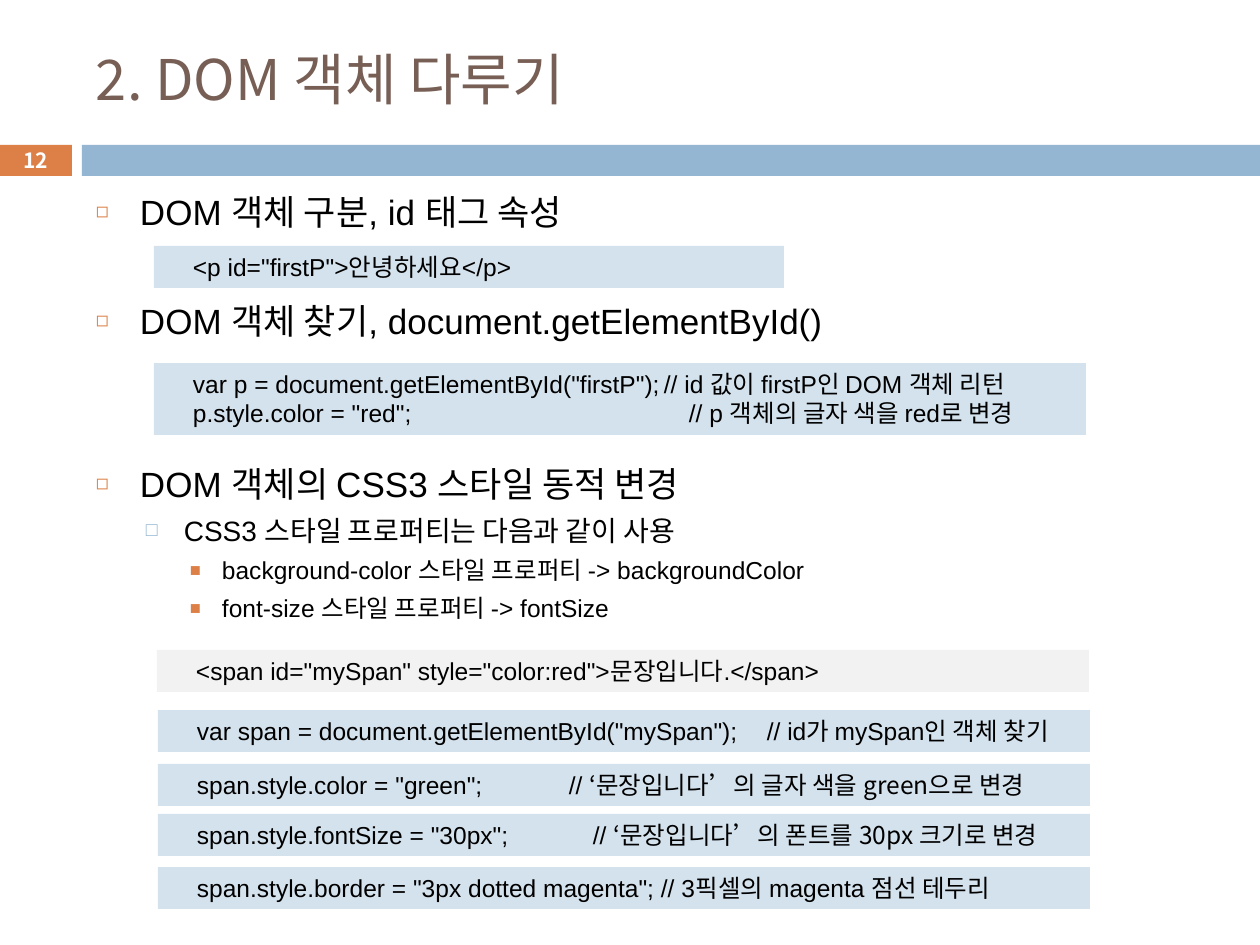
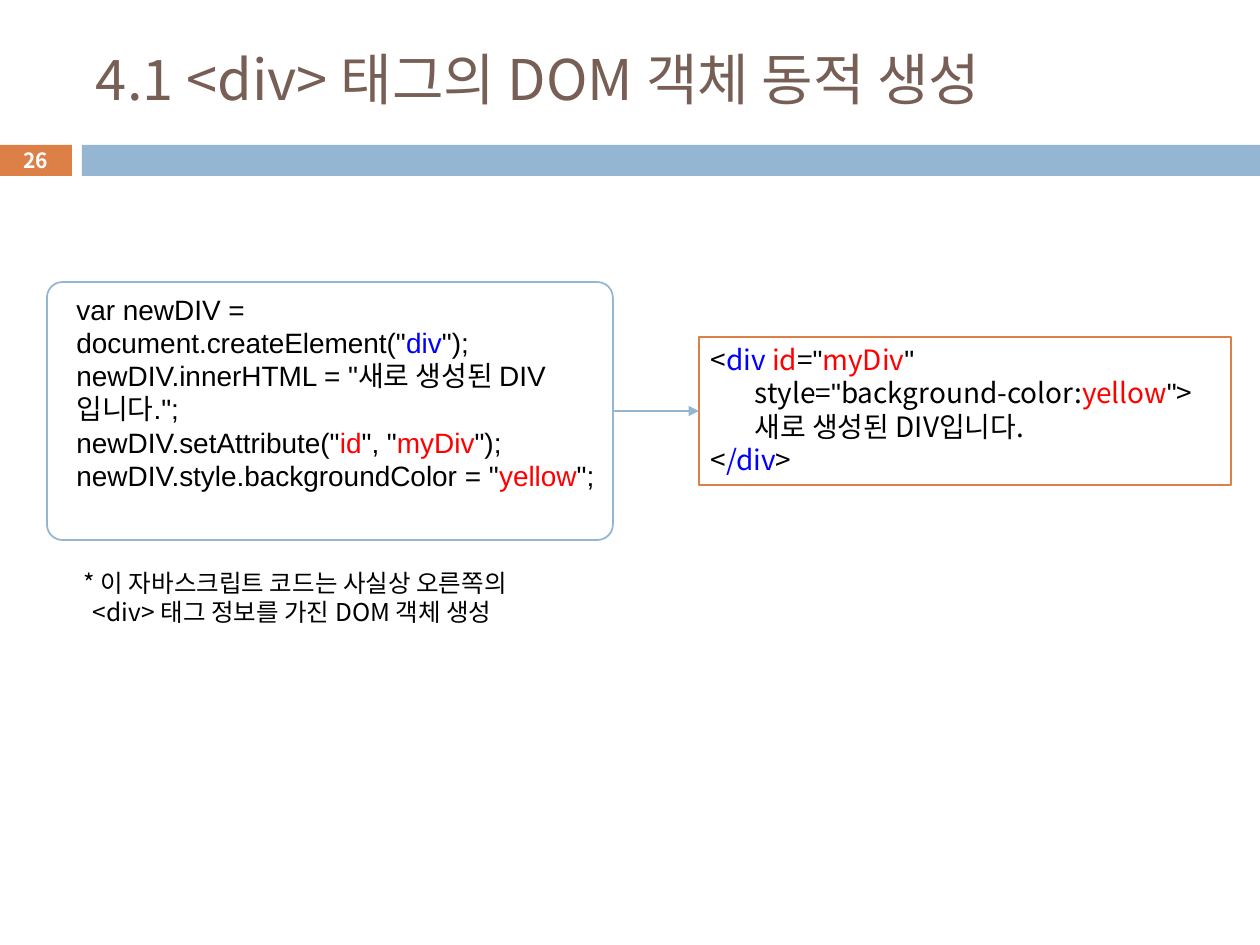
from dataclasses import dataclass

from lxml.etree import SubElement
from pptx import Presentation
from pptx.dml.color import RGBColor
from pptx.enum.shapes import MSO_CONNECTOR, MSO_SHAPE
from pptx.enum.text import MSO_ANCHOR, MSO_AUTO_SIZE, PP_ALIGN
from pptx.oxml.ns import qn
from pptx.util import Emu, Pt


@dataclass(frozen=True)
class Theme:
    orange: str = "DD8047"
    blue: str = "94B6D2"
    pale: str = "D4E2ED"
    gray: str = "F2F2F2"
    brown: str = "775F55"
    black: str = "000000"
    white: str = "FFFFFF"
    tag: str = "0000FF"
    value: str = "FF0000"
    latin: str = "Arial"
    hangul: str = "Noto Sans CJK KR"
    title: int = 32
    large: int = 20
    medium: int = 16
    small: int = 14
    number: int = 12
    leading: float = 1.19


T = Theme()
SCALE = 914400 / 126

# Bullet, colour, size in percent, left margin, hanging indent, type size
LEVELS = [
    ("◻", T.orange, 60, 44, 44, T.large),
    ("□", T.blue, 70, 88, 38, T.medium),
    ("■", T.orange, 75, 126, 32, T.small),
]


def px(length):
    return Emu(round(length * SCALE))


def rgb(color):
    return RGBColor.from_string(color)


def place(shape, box):
    shape.left, shape.top, shape.width, shape.height = map(px, box)


def setup(frame, left=12, top=6, right=12, anchor=MSO_ANCHOR.TOP):
    """Fix the margins, wrapping and anchor of a text frame."""
    frame.word_wrap = True
    frame.auto_size = MSO_AUTO_SIZE.NONE
    frame.vertical_anchor = anchor
    frame.margin_left, frame.margin_right = px(left), px(right)
    frame.margin_top = frame.margin_bottom = px(top)


def style(target, size=None, color=None, font=None, bold=None):
    if size:
        target.size = Pt(size)
    if color:
        target.color.rgb = rgb(color)
    if font:
        target.name = font
    if bold is not None:
        target.bold = bold


def write(para, runs, size, font=T.latin, color=T.black, tab=None):
    """Fill a paragraph from a string or from (text, colour, font) runs."""
    if tab:
        tabs = SubElement(para._p.get_or_add_pPr(), qn("a:tabLst"))
        SubElement(tabs, qn("a:tab"), pos=str(px(tab)), algn="l")
    para.line_spacing = Pt(round(size * T.leading, 1))
    style(para.font, size, color, font)
    for text, *look in [(runs,)] if isinstance(runs, str) else runs:
        run = para.add_run()
        run.text = text
        style(run.font, None, *look)


def lines(frame, texts):
    """Yield each text with its paragraph, starting from the first one."""
    for i, text in enumerate(texts):
        yield frame.add_paragraph() if i else frame.paragraphs[0], text


def panel(slide, box, fill, line=None, kind=MSO_SHAPE.RECTANGLE):
    shape = slide.shapes.add_shape(kind, *map(px, box))
    shape.shadow.inherit = False
    shape.fill.solid()
    shape.fill.fore_color.rgb = rgb(fill)
    if line:
        shape.line.color.rgb = rgb(line)
        shape.line.width = Pt(1)
    else:
        shape.line.fill.background()
    return shape


def frame_page(deck, layout, title, number):
    """Add a slide with its title, bands and page number."""
    slide = deck.slides.add_slide(deck.slide_layouts[layout])
    badge = panel(slide, (-1, 145, 73, 31), T.orange)
    setup(badge.text_frame, 0, 0, 0, MSO_ANCHOR.MIDDLE)
    para = badge.text_frame.paragraphs[0]
    para.alignment = PP_ALIGN.CENTER
    para.text = str(number)
    style(para.font, T.number, T.white, T.hangul, True)
    panel(slide, (82, 145, 1178, 31), T.blue)

    head = slide.shapes.title
    place(head, (84, 31, 1124, 94))
    setup(head.text_frame, anchor=MSO_ANCHOR.MIDDLE)
    para = head.text_frame.paragraphs[0]
    para.alignment = PP_ALIGN.LEFT
    para.text = title
    style(para.font, T.title, T.brown, T.hangul)
    return slide


def outline(slide, box, items):
    """Fill the body with (level, space before, text) items."""
    body = slide.placeholders[1]
    place(body, box)
    setup(body.text_frame)
    for para, (level, space, text) in lines(body.text_frame, items):
        mark, color, share, left, hang, size = LEVELS[level]
        para.level = level
        props = para._p.get_or_add_pPr()
        props.set("marL", str(px(left)))
        props.set("indent", str(-px(hang)))
        tint = SubElement(props, qn("a:buClr"))
        SubElement(tint, qn("a:srgbClr"), val=color)
        SubElement(props, qn("a:buSzPct"), val=str(share * 1000))
        SubElement(props, qn("a:buChar"), char=mark)
        para.space_before = Pt(space)
        write(para, text, size)


def code(slide, box, rows, fill=T.pale):
    """Draw a code strip from (runs, tab stop) rows."""
    strip = panel(slide, box, fill)
    setup(strip.text_frame, left=39, right=0)
    for para, (runs, tab) in lines(strip.text_frame, rows):
        para.alignment = PP_ALIGN.LEFT
        write(para, runs, T.small, tab=tab)


def listing(slide, box, rows, line, kind, font, left=12):
    """Draw an outlined box of coloured code."""
    shape = panel(slide, box, T.white, line, kind)
    setup(shape.text_frame, left)
    for para, runs in lines(shape.text_frame, rows):
        para.alignment = PP_ALIGN.LEFT
        write(para, runs, T.medium, font)
    return shape


def arrow(slide, start, end):
    """Join the right side of one shape to the left side of another."""
    link = slide.shapes.add_connector(MSO_CONNECTOR.STRAIGHT, 0, 0, 0, 0)
    link.begin_connect(start, 3)
    link.end_connect(end, 1)
    link.line.color.rgb = rgb(T.blue)
    link.line.width = Pt(0.8)
    SubElement(link.line._get_or_add_ln(), qn("a:tailEnd"), type="triangle")
    SubElement(link._element.spPr, qn("a:effectLst"))


def note(slide, box, rows):
    """Write a remark whose later lines align after its asterisk."""
    text = slide.shapes.add_textbox(*map(px, box)).text_frame
    setup(text)
    for i, (para, row) in enumerate(lines(text, rows)):
        if i:
            para._p.get_or_add_pPr().set("marL", str(px(9)))
        write(para, row, T.small, T.hangul)


def handle_page(deck):
    slide = frame_page(deck, 1, "2. DOM 객체 다루기", 12)
    outline(slide, (84, 185, 1124, 694), [
        (0, 0, "DOM 객체 구분, id 태그 속성"),
        (0, 38.5, "DOM 객체 찾기, document.getElementById()"),
        (0, 69, "DOM 객체의 CSS3 스타일 동적 변경"),
        (1, 5.5, "CSS3 스타일 프로퍼티는 다음과 같이 사용"),
        (2, 5, "background-color 스타일 프로퍼티 -> backgroundColor"),
        (2, 5, "font-size 스타일 프로퍼티 -> fontSize"),
    ])
    code(slide, (154, 246, 630, 42), [('<p id="firstP">안녕하세요</p>', None)])
    code(slide, (154, 363, 932, 72), [
        ('var p = document.getElementById("firstP");\t'
         '// id 값이 firstP인 DOM 객체 리턴', 471),
        ('p.style.color = "red";\t// p 객체의 글자 색을 red로 변경', 496),
    ])
    code(slide, (157, 650, 932, 42), [
        ('<span id="mySpan" style="color:red">문장입니다.</span>', None),
    ], T.gray)
    strips = [
        (710, 'var span = document.getElementById("mySpan");\t'
              '// id가 mySpan인 객체 찾기', 570),
        (764, [('span.style.color = "green";\t// ',),
               ("‘문장입니다’의 글자 색을 green으로 변경", None, T.hangul)], 372),
        (814, [('span.style.fontSize = "30px";\t// ',),
               ("‘문장입니다’의 폰트를 30px 크기로 변경", None, T.hangul)], 396),
        (867, 'span.style.border = "3px dotted magenta"; '
              '// 3픽셀의 magenta 점선 테두리', None),
    ]
    for top, runs, tab in strips:
        code(slide, (158, top, 932, 42), [(runs, tab)])


def create_page(deck):
    slide = frame_page(deck, 5, "4.1 <div> 태그의 DOM 객체 동적 생성", 26)
    script = listing(slide, (47, 282, 566, 258), [
        [('var newDIV = document.createElement("',), ("div", T.tag), ('");',)],
        'newDIV.innerHTML = "새로 생성된 DIV입니다.";',
        [('newDIV.setAttribute("',), ("id", T.value), ('", "',),
         ("myDiv", T.value), ('");',)],
        [('newDIV.style.backgroundColor = "',), ("yellow", T.value), ('";',)],
    ], T.blue, MSO_SHAPE.ROUNDED_RECTANGLE, T.latin, left=25)
    script.adjustments[0] = 0.06

    quote = ('"', None, T.latin)
    markup = listing(slide, (699, 337, 532, 148), [
        [("<",), ("div ", T.tag), ("id", T.value), ("=",), quote,
         ("myDiv", T.value), quote],
        [("       style=",), quote, ("background-color:",),
         ("yellow", T.value), quote, (">",)],
        "       새로 생성된 DIV입니다.",
        [("<",), ("/div", T.tag), (">",)],
    ], T.orange, MSO_SHAPE.RECTANGLE, T.hangul)

    note(slide, (72, 562, 517, 72), [
        "* 이 자바스크립트 코드는 사실상 오른쪽의",
        "<div> 태그 정보를 가진 DOM 객체 생성",
    ])
    arrow(slide, script, markup)


def main():
    deck = Presentation()
    deck.slide_width, deck.slide_height = px(1260), px(945)
    handle_page(deck)
    create_page(deck)
    deck.save("out.pptx")


if __name__ == "__main__":
    main()
